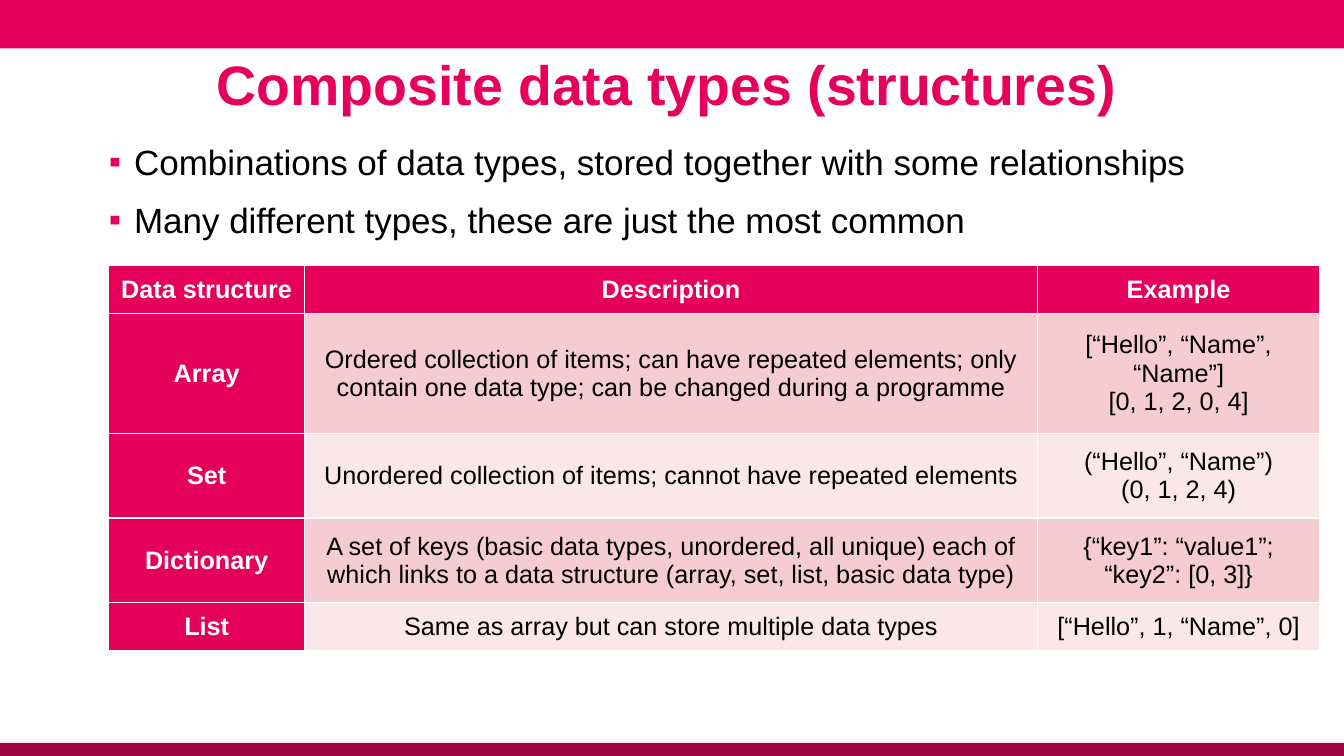
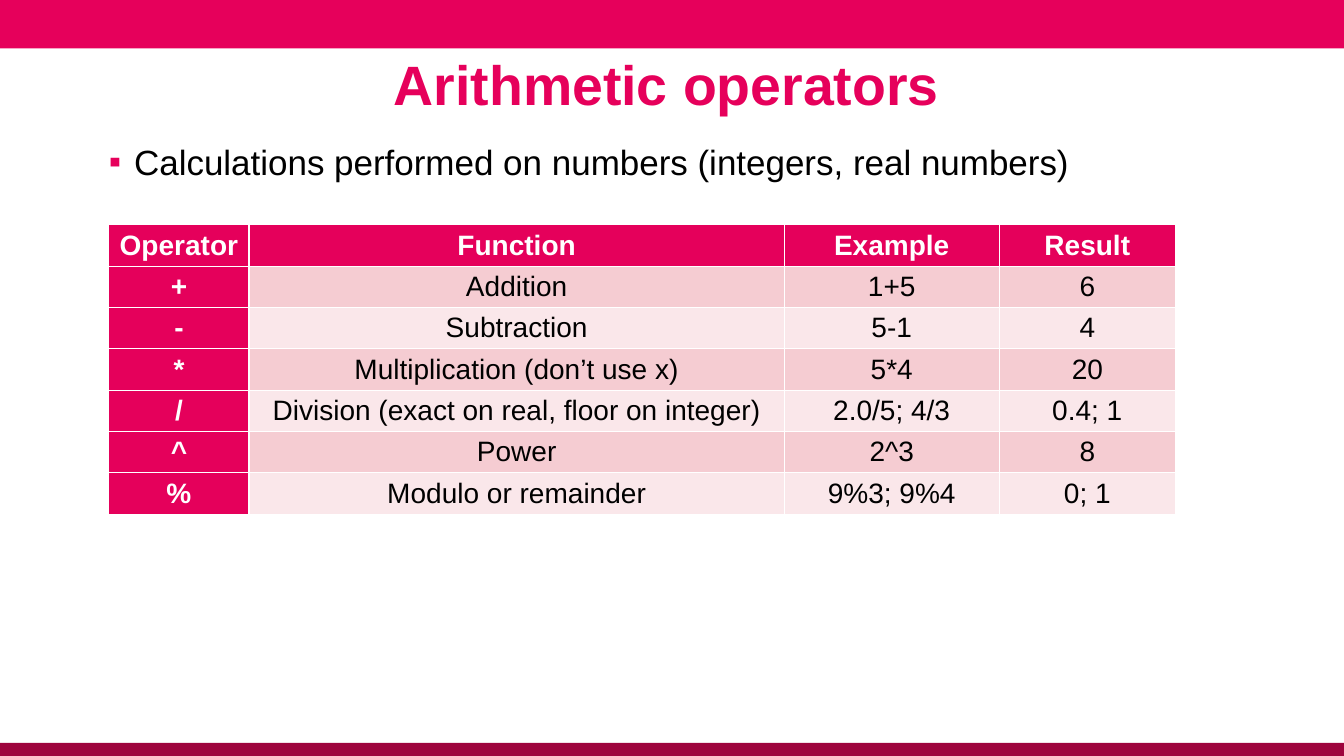
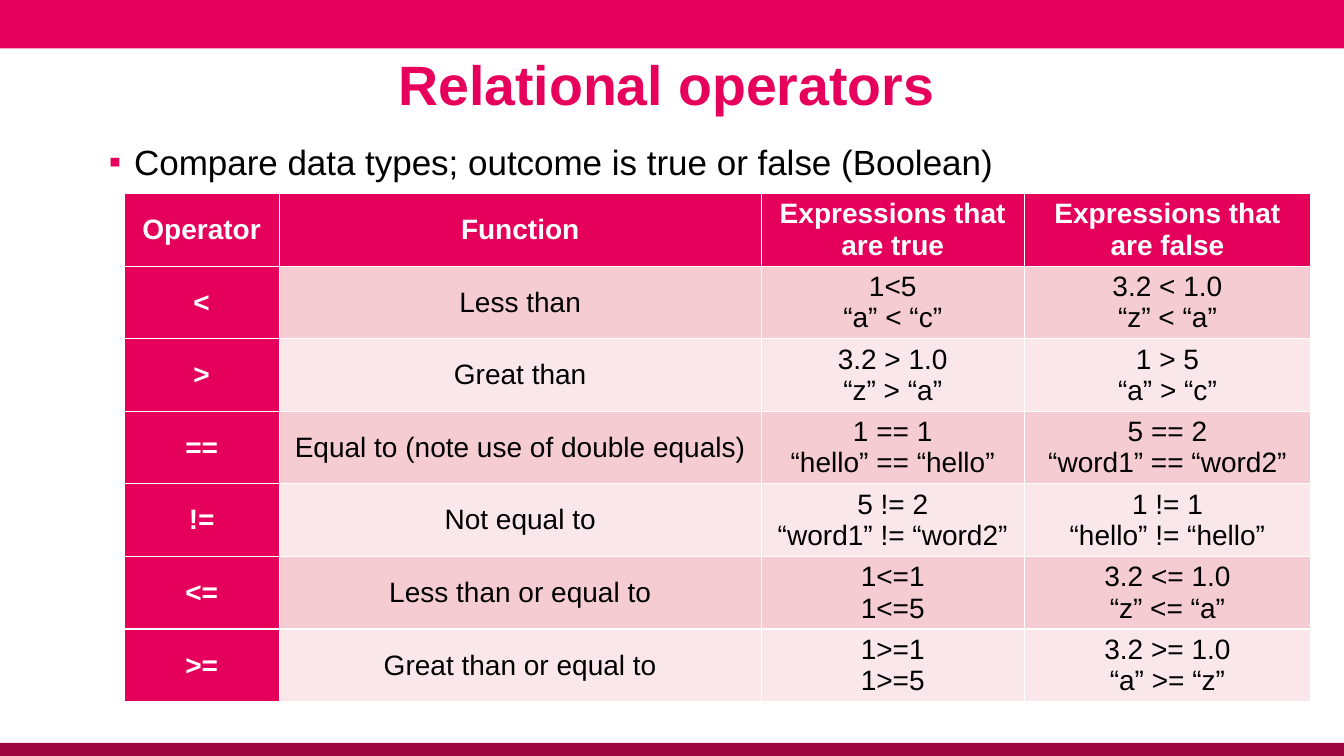
from lxml import etree
from pptx import Presentation
from pptx.dml.color import RGBColor
from pptx.enum.shapes import MSO_SHAPE
from pptx.enum.text import MSO_ANCHOR, MSO_AUTO_SIZE, PP_ALIGN
from pptx.oxml.ns import qn
from pptx.util import Inches, Pt

RECTANGLE = MSO_SHAPE.RECTANGLE
CENTER = PP_ALIGN.CENTER
LEFT = PP_ALIGN.LEFT
MIDDLE = MSO_ANCHOR.MIDDLE
TOP = MSO_ANCHOR.TOP
NO_AUTOFIT = MSO_AUTO_SIZE.NONE

PINK = RGBColor(0xE6, 0x00, 0x5B)
DARK_RED = RGBColor(0x9E, 0x04, 0x3D)
HEADER_PINK = RGBColor(0xE5, 0x00, 0x5B)
ROSE = RGBColor(0xF5, 0xCC, 0xD2)
PALE_ROSE = RGBColor(0xFA, 0xE7, 0xEA)
WHITE = RGBColor(0xFF, 0xFF, 0xFF)
BLACK = RGBColor(0x00, 0x00, 0x00)

FONT = "Arial"
SLIDE_SIZE = (13.33, 7.5)
TITLE_BOX = (0.48, 0.49, 12.36, 0.75)
BODY_BOX = (1.08, 1.34, 11.66, 5.62)
BANDS = [((0, 0, 13.33, 0.48), PINK), ((0, 7.37, 13.33, 0.14), DARK_RED)]

TITLE_FONT = {"name": FONT, "size": Pt(39.6), "bold": True}
BODY_FONT = {"name": FONT, "size": Pt(25), "bold": False}
TITLE_PARAGRAPH = {"alignment": CENTER, "line_spacing": 0.9}
BULLET_PARAGRAPH = {"alignment": LEFT, "line_spacing": 1.0,
                    "space_before": Pt(10), "space_after": Pt(2)}

SLIDES = [
    {
        "title": "Composite data types (structures)",
        "bullets": ["Combinations of data types, stored together with some relationships",
                    "Many different types, these are just the most common"],
        "corner": (1.08, 2.63),
        "columns": [1.94, 7.27, 2.8],
        "rows": [0.48, 1.19, 0.84, 0.84, 0.48],
        "size": 18,
        "cells": [
            ["Data structure", "Description", "Example"],
            ["Array",
             "Ordered collection of items; can have repeated elements; "
             "only contain one data type; can be changed during a programme",
             "[“Hello”, “Name”, “Name”]\n[0, 1, 2, 0, 4]"],
            ["Set", "Unordered collection of items; cannot have repeated elements",
             "(“Hello”, “Name”)\n(0, 1, 2, 4)"],
            ["Dictionary",
             "A set of keys (basic data types, unordered, all unique) each of "
             "which links to a data structure (array, set, list, basic data type)",
             "{“key1”: “value1”; “key2”: [0, 3]}"],
            ["List", "Same as array but can store multiple data types",
             "[“Hello”, 1, “Name”, 0]"],
        ],
    },
    {
        "title": "Arithmetic operators",
        "bullets": ["Calculations performed on numbers (integers, real numbers)"],
        "corner": (1.08, 2.23),
        "columns": [1.39, 5.31, 2.13, 1.75],
        "rows": [0.41] * 7,
        "size": 20,
        "cells": [
            ["Operator", "Function", "Example", "Result"],
            ["+", "Addition", "1+5", "6"],
            ["-", "Subtraction", "5-1", "4"],
            ["*", "Multiplication (don’t use x)", "5*4", "20"],
            ["/", "Division (exact on real, floor on integer)", "2.0/5; 4/3", "0.4; 1"],
            ["^", "Power", "2^3", "8"],
            ["%", "Modulo or remainder", "9%3; 9%4", "0; 1"],
        ],
    },
    {
        "title": "Relational operators",
        "bullets": ["Compare data types; outcome is true or false (Boolean)"],
        "corner": (1.23, 1.92),
        "columns": [1.54, 4.78, 2.61, 2.84],
        "rows": [0.72] * 7,
        "size": 20,
        "cells": [
            ["Operator", "Function", "Expressions that are true", "Expressions that are false"],
            ["<", "Less than", "1<5\n“a” < “c”", "3.2 < 1.0\n“z” < “a”"],
            [">", "Great than", "3.2 > 1.0\n“z” > “a”", "1 > 5\n“a” > “c”"],
            ["==", "Equal to (note use of double equals)",
             "1 == 1\n“hello” == “hello”", "5 == 2\n“word1” == “word2”"],
            ["!=", "Not equal to",
             "5 != 2\n“word1” != “word2”", "1 != 1\n“hello” != “hello”"],
            ["<=", "Less than or equal to", "1<=1\n1<=5", "3.2 <= 1.0\n“z” <= “a”"],
            [">=", "Great than or equal to", "1>=1\n1>=5", "3.2 >= 1.0\n“a” >= “z”"],
        ],
    },
]


def apply_format(target, values):
    """Set every attribute named in a dict of format values."""
    for name, value in values.items():
        setattr(target, name, value)


def write_text(text_frame, text, paragraph_format, font_format, color):
    """Write one paragraph per line of text and format each of them."""
    text_frame.text = text
    for paragraph in text_frame.paragraphs:
        apply_format(paragraph, paragraph_format)
        for run in paragraph.runs:
            apply_format(run.font, font_format)
            run.font.color.rgb = color


def place_placeholder(shape, box, anchor):
    """Move a text placeholder and set its frame."""
    left, top, width, height = map(Inches, box)
    apply_format(shape, {"left": left, "top": top, "width": width, "height": height})
    apply_format(shape.text_frame, {
        "word_wrap": True, "auto_size": NO_AUTOFIT, "vertical_anchor": anchor,
        "margin_left": 0, "margin_right": Inches(0.1),
        "margin_top": Inches(0.05), "margin_bottom": Inches(0.05)})


def add_bullet(paragraph):
    """Give a paragraph a hanging pink square bullet."""
    properties = paragraph._p.get_or_add_pPr()
    properties.set("marL", str(Inches(0.25)))
    properties.set("indent", str(Inches(-0.25)))
    color = etree.SubElement(properties, qn("a:buClr"))
    etree.SubElement(color, qn("a:srgbClr"), val=str(PINK))
    etree.SubElement(properties, qn("a:buFont"), typeface=FONT)
    etree.SubElement(properties, qn("a:buChar"), char="▪")


def add_master_bands(presentation, slide):
    """Draw the top and bottom bands and move them to the slide master."""
    master_tree = presentation.slide_master.element.cSld.spTree
    for box, color in BANDS:
        band = slide.shapes.add_shape(RECTANGLE, *map(Inches, box))
        band.shadow.inherit = False
        band.fill.solid()
        band.fill.fore_color.rgb = color
        band.line.fill.background()
        master_tree.insert(2, band.element)


def add_title(slide, text):
    """Fill the title placeholder."""
    place_placeholder(slide.shapes.title, TITLE_BOX, MIDDLE)
    write_text(slide.shapes.title.text_frame, text, TITLE_PARAGRAPH, TITLE_FONT, PINK)


def add_bullets(slide, lines):
    """Fill the body placeholder with a bullet list."""
    body = slide.placeholders[1]
    place_placeholder(body, BODY_BOX, TOP)
    write_text(body.text_frame, "\n".join(lines), BULLET_PARAGRAPH, BODY_FONT, BLACK)
    for paragraph in body.text_frame.paragraphs:
        add_bullet(paragraph)


def add_data_table(slide, content):
    """Add a table with pink headings and alternating rose rows."""
    columns, rows = content["columns"], content["rows"]
    box = (*content["corner"], sum(columns), sum(rows))
    table = slide.shapes.add_table(len(rows), len(columns), *map(Inches, box)).table
    table.first_col = True
    for column, width in zip(table.columns, columns):
        column.width = Inches(width)
    for row, height in zip(table.rows, rows):
        row.height = Inches(height)
    for row_index, texts in enumerate(content["cells"]):
        for column_index, text in enumerate(texts):
            is_heading = row_index == 0 or column_index == 0
            row_color = ROSE if row_index % 2 else PALE_ROSE
            cell = table.cell(row_index, column_index)
            cell.vertical_anchor = MIDDLE
            cell.fill.solid()
            cell.fill.fore_color.rgb = HEADER_PINK if is_heading else row_color
            font = {"name": FONT, "size": Pt(content["size"]), "bold": is_heading}
            write_text(cell.text_frame, text, {"alignment": CENTER}, font,
                       WHITE if is_heading else BLACK)


def main():
    """Build the presentation and save it."""
    presentation = Presentation()
    presentation.slide_width, presentation.slide_height = map(Inches, SLIDE_SIZE)
    layout = presentation.slide_layouts[1]
    for content in SLIDES:
        slide = presentation.slides.add_slide(layout)
        add_title(slide, content["title"])
        add_bullets(slide, content["bullets"])
        add_data_table(slide, content)
    add_master_bands(presentation, presentation.slides[0])
    presentation.save("out.pptx")


main()
